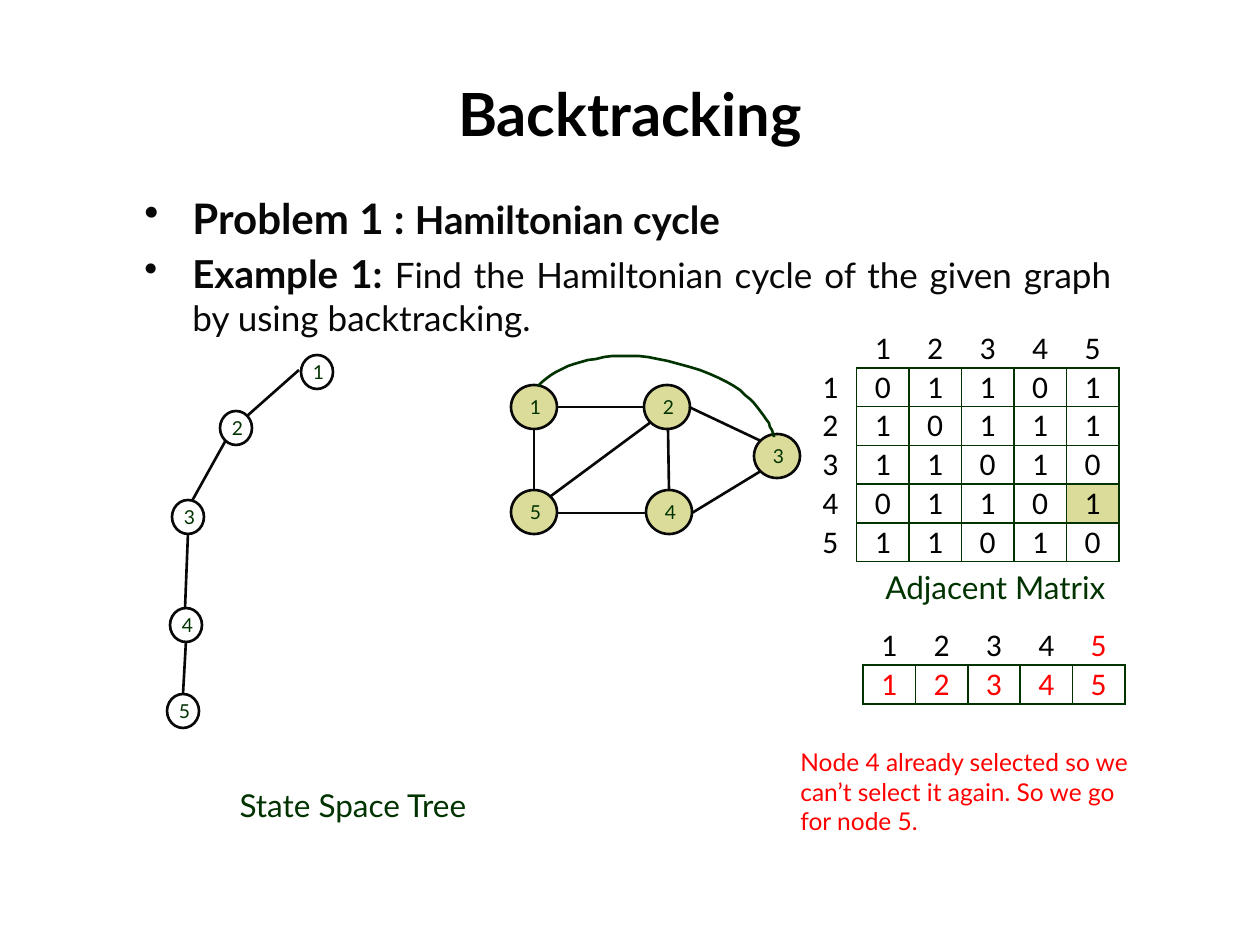
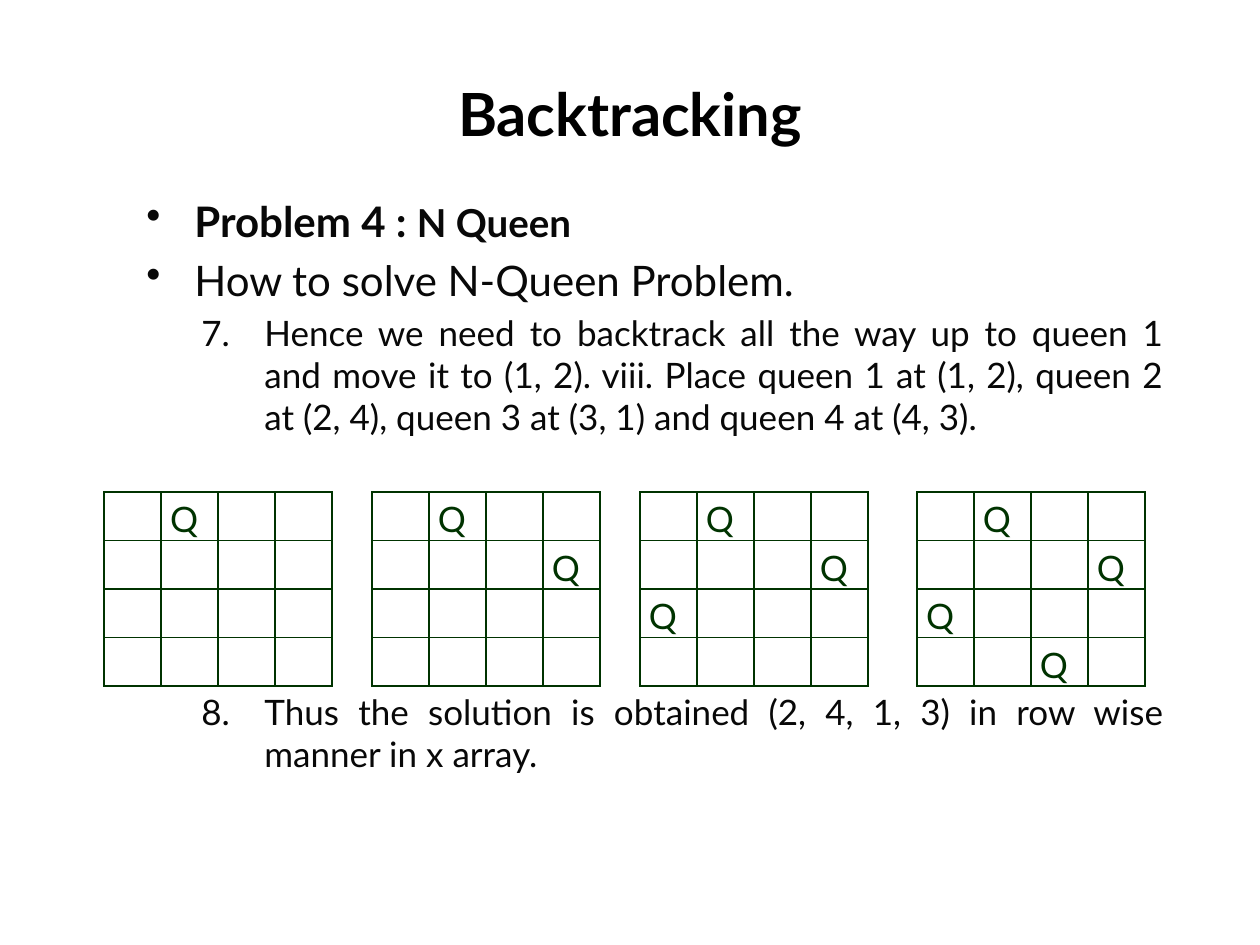
"""Build two slides on backtracking: a Hamiltonian cycle and the N queens."""
import dataclasses

import lxml.etree
import pptx
import pptx.dml.color
import pptx.enum.shapes
import pptx.enum.text
import pptx.oxml.ns
import pptx.util

UNIT = 914400 / 126
ALIGN = pptx.enum.text.PP_ALIGN
ANCHOR = pptx.enum.text.MSO_ANCHOR
SHAPE = pptx.enum.shapes.MSO_SHAPE
LINK = pptx.enum.shapes.MSO_CONNECTOR
SIDES = {"lnL": (0, -1), "lnR": (0, 1), "lnT": (-1, 0), "lnB": (1, 0)}


@dataclasses.dataclass(frozen=True)
class Theme:
    """Hold the colours, fonts and type sizes of the deck."""
    black: str = "000000"
    ink: str = "080808"
    green: str = "003300"
    khaki: str = "DCDC9A"
    red: str = "FF0000"
    white: str = "FFFFFF"
    face: str = "Lato"
    digit: str = "Calibri"
    title: int = 34
    lead: int = 24
    sub: int = 22
    body: int = 20
    label: int = 18
    note: int = 14
    node: int = 11
    edge: float = 1.5
    rule: int = 1


T = Theme()


def px(n):
    """Turn px into EMU."""
    return pptx.util.Emu(round(n * UNIT))


def rgb(code):
    """Turn a hex code into a colour."""
    return pptx.dml.color.RGBColor.from_string(code)


def put(item, **values):
    """Set each format value on the item."""
    for name, value in values.items():
        setattr(item, name, value)


def write(para, text, size, ink, bold=False, face=T.face):
    """Add a run of text to the paragraph."""
    run = para.add_run()
    put(run, text=text)
    put(run.font, size=pptx.util.Pt(size), bold=bold, name=face)
    run.font.color.rgb = rgb(ink)


def add_box(slide, x, y, w, h, **frame):
    """Add an empty text box and return its frame."""
    box = slide.shapes.add_textbox(px(x), px(y), px(w), px(h))
    put(box.text_frame, word_wrap=True, **frame)
    return box.text_frame


def add_text(slide, area, text, size, ink, align=ALIGN.CENTER, bold=False, **frame):
    """Add a box with one paragraph."""
    para = add_box(slide, *area, **frame).paragraphs[0]
    para.alignment = align
    write(para, text, size, ink, bold)


def add_list(slide, area, items):
    """Add a list of (number, runs); a number of None makes a bullet."""
    frame = add_box(slide, *area)
    for i, (number, runs) in enumerate(items):
        para = frame.add_paragraph() if i else frame.paragraphs[0]
        props = para._p.get_or_add_pPr()
        left, hang, tag, values = (
            (48, 48, "a:buChar", {"char": "•"}) if number is None else
            (118, 63, "a:buAutoNum", {"type": "arabicPeriod", "startAt": str(number)}))
        props.set("marL", str(px(left)))
        props.set("indent", str(-px(hang)))
        lxml.etree.SubElement(props, pptx.oxml.ns.qn(tag), values)
        para.alignment = ALIGN.JUSTIFY
        if i:
            para.space_before = pptx.util.Pt(runs[0][1] * 0.2)
        for text, size, bold in runs:
            write(para, text, size, T.ink, bold)


def add_node(slide, x, y, w, h, text, fill=None):
    """Add a numbered ellipse centred on x, y."""
    node = slide.shapes.add_shape(
        SHAPE.OVAL, px(x - w / 2), px(y - h / 2), px(w), px(h))
    node.shadow.inherit = False
    if fill:
        node.fill.solid()
        node.fill.fore_color.rgb = rgb(fill)
    else:
        node.fill.background()
    ink_line(node.line, T.ink)
    put(node.text_frame, word_wrap=False, vertical_anchor=ANCHOR.MIDDLE,
        margin_left=px(3), margin_right=0, margin_top=0, margin_bottom=0)
    para = node.text_frame.paragraphs[0]
    para.alignment = ALIGN.CENTER
    write(para, text, T.node, T.green)


def ink_line(line, ink):
    """Give a line its colour and width."""
    line.color.rgb = rgb(ink)
    line.width = pptx.util.Pt(T.edge)


def add_edge(slide, *ends):
    """Add a straight line between two points."""
    edge = slide.shapes.add_connector(LINK.STRAIGHT, *map(px, ends))
    ink_line(edge.line, T.ink)
    lxml.etree.SubElement(edge._element.spPr, pptx.oxml.ns.qn("a:effectLst"))


def add_curve(slide, start, bends, steps=8):
    """Add an open curve through cubic bends."""
    points, here = [], start
    for a, b, end in bends:
        for i in range(1, steps + 1):
            t = i / steps
            u = 1 - t
            points.append(tuple(
                round(u**3 * p + 3 * u * u * t * q + 3 * u * t * t * r + t**3 * s, 2)
                for p, q, r, s in zip(here, a, b, end)))
        here = end
    pen = slide.shapes.build_freeform(*start, scale=UNIT)
    pen.add_line_segments(points, close=False)
    curve = pen.convert_to_shape()
    curve.shadow.inherit = False
    curve.fill.background()
    ink_line(curve.line, T.green)


def add_rule(cell, side, ink):
    """Draw one border of a cell."""
    qn = pptx.oxml.ns.qn
    props = cell._tc.get_or_add_tcPr()
    line = lxml.etree.SubElement(
        props, qn("a:" + side), {"w": str(pptx.util.Pt(T.rule))})
    fill = lxml.etree.SubElement(line, qn("a:solidFill"))
    lxml.etree.SubElement(fill, qn("a:srgbClr"), {"val": ink})


def add_grid(slide, area, rows, top=0, left=0, pad=1, align=ALIGN.CENTER,
             size=T.label, face=T.digit, ink=T.black, hot=(), lit=()):
    """Add a ruled table whose top rows and left columns are bare heads."""
    x, y, w, h = area
    table = slide.shapes.add_table(
        len(rows), len(rows[0]), px(x), px(y), px(w), px(h)).table
    put(table, first_row=False, horz_banding=False)
    for col in table.columns:
        col.width = px(w / len(rows[0]))
    for r, row in enumerate(rows):
        table.rows[r].height = px(h / len(rows))
        for c, text in enumerate(row):
            cell = table.cell(r, c)
            put(cell, margin_left=px(pad), margin_right=px(1), margin_top=0,
                margin_bottom=0, vertical_anchor=ANCHOR.BOTTOM)
            for side, (down, over) in SIDES.items():
                ruled = any(i >= top and j >= left
                            for i, j in ((r, c), (r + down, c + over)))
                add_rule(cell, side, T.green if ruled else T.white)
            if (r, c) in lit:
                cell.fill.solid()
                cell.fill.fore_color.rgb = rgb(T.khaki)
            else:
                cell.fill.background()
            if text:
                para = cell.text_frame.paragraphs[0]
                para.alignment = align
                write(para, text, size, T.red if (r, c) in hot else ink, face=face)


def add_slide(deck):
    """Add a blank slide with the shared title."""
    slide = deck.slides.add_slide(deck.slide_layouts[6])
    add_text(slide, (63, 63, 1134, 100), "Backtracking", T.title, T.black,
             bold=True, vertical_anchor=ANCHOR.MIDDLE)
    return slide


def draw_graph(slide):
    """Draw the given graph."""
    nodes = {"1": (534, 407), "2": (667, 407), "3": (777, 456),
             "5": (534, 512), "4": (669, 512)}
    for text, spot in nodes.items():
        add_node(slide, *spot, 46, 44, text, T.khaki)
    for ends in ((645, 407, 557, 407), (646, 513, 557, 513), (668, 428, 669, 490),
                 (534, 490, 534, 428), (651, 422, 551, 496), (761, 441, 689, 407),
                 (761, 471, 692, 513)):
        add_edge(slide, *ends)
    add_curve(slide, (538, 386), (
        ((549, 375), (562, 367), (581, 362)),
        ((599, 357), (624, 354), (648, 357)),
        ((673, 360), (708, 372), (727, 382)),
        ((746, 392), (756, 406), (764, 416)),
        ((771, 425), (774, 437), (774, 437))))


def draw_tree(slide):
    """Draw the state space tree."""
    spots = (317, 372), (236, 428), (188, 517), (186, 625), (183, 711)
    for i, spot in enumerate(spots, 1):
        add_node(slide, *spot, 32, 34, str(i))
    for ends in ((247, 416, 299, 370), (192, 501, 226, 440),
                 (185, 609, 188, 534), (183, 694, 186, 641)):
        add_edge(slide, *ends)
    add_text(slide, (194, 780, 318, 50), "State Space Tree", T.label, T.green)


def draw_cycle(deck):
    """Build the Hamiltonian cycle slide."""
    slide = add_slide(deck)
    add_list(slide, (132, 186, 992, 634), (
        (None, (("Problem 1 : ", T.lead, True), ("Hamiltonian cycle", T.sub, True))),
        (None, (("Example 1: ", T.sub, True),
                ("Find the Hamiltonian cycle of the given graph by using "
                 "backtracking.", T.body, False)))))
    draw_graph(slide)
    links = "01101", "10111", "11010", "01101", "11010"
    rows = [["", *"12345"]] + [[str(i), *row] for i, row in enumerate(links, 1)]
    add_grid(slide, (804, 329, 315, 233), rows, top=1, left=1, lit={(4, 5)})
    add_text(slide, (838, 562, 315, 50), "Adjacent Matrix", T.label, T.green)
    add_grid(slide, (863, 626, 262, 78), ["12345"] * 2, top=1,
             hot={(0, 4), *((1, c) for c in range(5))})
    draw_tree(slide)
    add_text(slide, (788, 741, 365, 102),
             "Node 4 already selected so we can’t select it again. "
             "So we go for node 5.", T.note, T.red, ALIGN.LEFT)


def draw_queens(deck):
    """Build the N queens slide."""
    slide = add_slide(deck)
    add_list(slide, (134, 189, 1042, 260), (
        (None, (("Problem 4 : ", T.lead, True), ("N Queen", T.sub, True))),
        (None, (("How to solve N-Queen Problem.", T.lead, False),)),
        (7, (("Hence we need to backtrack all the way up to queen 1 and move it "
              "to (1, 2). viii. Place queen 1 at (1, 2), queen 2 at (2, 4), "
              "queen 3 at (3, 1) and queen 4 at (4, 3).", T.body, False),))))
    add_list(slide, (134, 684, 1042, 98), (
        (8, (("Thus the solution is obtained (2, 4, 1, 3) in row wise manner "
              "in x array.", T.body, False),)),))
    spots = 1, 3, 0, 2
    for done, x in enumerate((104, 372, 640, 917), 1):
        rows = [["Q" if r < done and c == spot else "" for c in range(4)]
                for r, spot in enumerate(spots)]
        add_grid(slide, (x, 492, 228, 194), rows, pad=9, align=ALIGN.LEFT,
                 size=T.body, face=T.face, ink=T.green)


def main():
    """Build and save the deck."""
    deck = pptx.Presentation()
    put(deck, slide_width=px(1260), slide_height=px(945))
    draw_cycle(deck)
    draw_queens(deck)
    deck.save("out.pptx")


if __name__ == "__main__":
    main()
